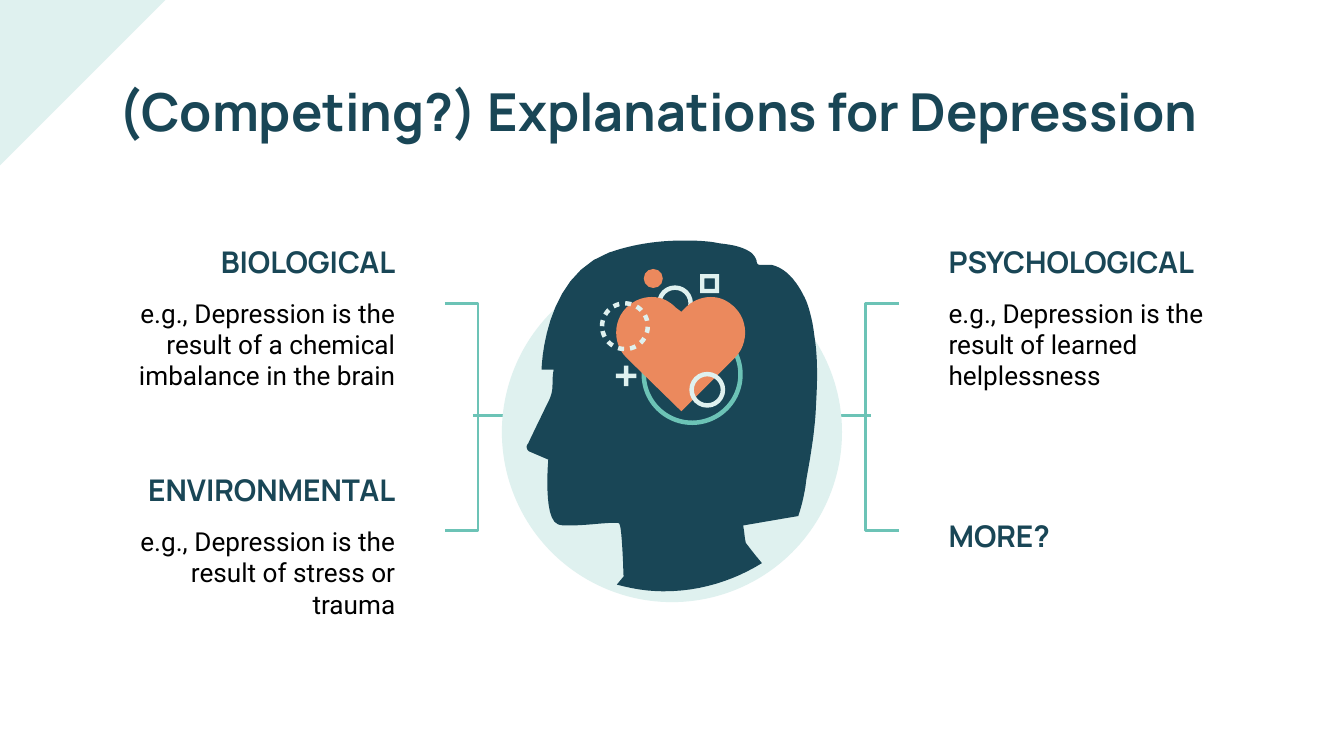
from lxml.etree import SubElement
from pptx import Presentation
from pptx.dml.color import RGBColor as RGB
from pptx.enum.shapes import MSO_CONNECTOR as LINE, MSO_SHAPE as SHAPE
from pptx.enum.text import MSO_ANCHOR as ANCHOR, PP_ALIGN as ALIGN
from pptx.oxml.ns import qn
from pptx.util import Pt

WIDTH, HEIGHT = 720, 405
THEME = {
    "navy": RGB.from_string("194656"), "mint": RGB.from_string("DFF1EF"),
    "teal": RGB.from_string("6CC3B6"), "coral": RGB.from_string("EB895D"),
    "black": RGB.from_string("000000"), "stroke": 1.5, "ring": 2.4,
    "title": {"name": "Manrope", "size": Pt(28), "bold": True},
    "heading": {"name": "Manrope", "size": Pt(16), "bold": True},
    "body": {"name": "Roboto", "size": Pt(14), "bold": False},
}
TITLE = "(Competing?) Explanations for Depression"
EXPLANATIONS = [
    ("left", 123.1, "BIOLOGICAL",
     "e.g., Depression is the result of a chemical imbalance in the brain"),
    ("left", 245.5, "ENVIRONMENTAL",
     "e.g., Depression is the result of stress or trauma"),
    ("right", 123.1, "PSYCHOLOGICAL",
     "e.g., Depression is the result of learned helplessness"),
    ("right", 270, "MORE?", None),
]
COLUMN_W, HEADING_H, BODY_H = 162.7, 28.8, 49
COLUMNS = {"left": (56.2, ALIGN.RIGHT), "right": (501.1, ALIGN.LEFT)}
BRACKET = [(238.3, 162.7), (256.1, 162.7), (256.1, 284.4), (238.3, 284.4)]
STEM = [(253.4, 222.5), (311.8, 222.5)]

GRID = 0.72
HEAD = [
    (507, 179), (489, 179, 470, 182, 453, 188), (404, 206, 403, 275, 403, 275),
    (412, 275), (410, 286, 413, 289, 408, 299), (404, 307, 393, 330, 393, 330),
    (391, 332, 392, 335, 394, 336), (408, 342), (408, 342, 404, 386, 415, 390),
    (417, 391, 420, 391, 424, 391), (435, 391, 450, 389, 457, 389),
    (459, 389, 461, 389, 461, 390), (463, 393, 464, 429, 464, 429), (459, 435),
    (470, 438, 482, 440, 494, 440), (521, 440, 546, 432, 567, 419),
    (561, 412, 555, 404, 555, 404), (554, 400, 554, 396, 553, 391),
    (576, 387, 594, 384, 594, 384), (597, 375, 599, 366, 600, 357),
    (603, 340, 606, 323, 607, 306), (608, 287, 609, 268, 606, 250),
    (605, 241, 603, 232, 600, 224), (595, 213, 587, 200, 574, 197),
    (571, 197, 568, 197, 565, 197), (563, 197, 563, 194, 563, 194),
    (562, 191, 561, 190, 559, 188), (552, 183, 543, 182, 535, 181),
    (526, 179, 516, 179, 507, 179),
]
HEART = [
    (485, 221), (478, 221, 471, 224, 466, 229), (456, 239, 456, 256, 466, 266),
    (507, 306), (547, 266), (557, 256, 557, 239, 547, 229),
    (542, 224, 536, 221, 529, 221), (522, 221, 515, 224, 510, 229), (507, 232),
    (503, 229), (498, 224, 492, 221, 485, 221),
]


def mirror(points):
    return [(WIDTH - x, y) for x, y in points]


def curve_points(steps, samples=12):
    points = [steps[0]]
    for step in steps[1:]:
        if len(step) == 2:
            points.append(step)
            continue
        x0, y0 = points[-1]
        x1, y1, x2, y2, x3, y3 = step
        for i in range(1, samples + 1):
            t = i / samples
            a, b, c, d = (1 - t) ** 3, 3 * t * (1 - t) ** 2, 3 * t * t * (1 - t), t ** 3
            points.append((a * x0 + b * x1 + c * x2 + d * x3,
                           a * y0 + b * y1 + c * y2 + d * y3))
    return [(x * GRID, y * GRID) for x, y in points]


def paint(s, fill=None, line=None, weight=THEME["stroke"]):
    s.shadow.inherit = False
    if fill:
        s.fill.solid()
        s.fill.fore_color.rgb = THEME[fill]
    else:
        s.fill.background()
    if line:
        s.line.color.rgb = THEME[line]
        s.line.width = Pt(weight)
    else:
        s.line.fill.background()
    return s


def add_outline(shapes, points, close=True, **look):
    pts = [(Pt(x), Pt(y)) for x, y in points]
    builder = shapes.build_freeform(*pts[0], scale=1.0)
    builder.add_line_segments(pts[1:], close=close)
    return paint(builder.convert_to_shape(), **look)


def add_preset(shapes, kind, cx, cy, size, adjust=None, **look):
    s = shapes.add_shape(kind, Pt(cx - size / 2), Pt(cy - size / 2), Pt(size), Pt(size))
    if adjust is not None:
        s.adjustments[0] = adjust
    return paint(s, **look)


def add_ring(shapes, cx, cy, size, color):
    return add_preset(shapes, SHAPE.OVAL, cx, cy, size, line=color, weight=THEME["ring"])


def add_text(shapes, text, x, y, w, h, style, color, align=ALIGN.LEFT, after=0):
    tf = shapes.add_textbox(Pt(x), Pt(y), Pt(w), Pt(h)).text_frame
    frame = {"word_wrap": True, "vertical_anchor": ANCHOR.TOP}
    for side in ("left", "right", "top", "bottom"):
        frame["margin_" + side] = Pt(7.2)
    for name, value in frame.items():
        setattr(tf, name, value)
    p = tf.paragraphs[0]
    p.alignment, p.space_after = align, Pt(after)
    r = p.add_run()
    r.text = text
    for name, value in THEME[style].items():
        setattr(r.font, name, value)
    r.font.color.rgb = THEME[color]


def add_stem(shapes, points):
    (x1, y1), (x2, y2) = points
    s = shapes.add_connector(LINE.STRAIGHT, Pt(x1), Pt(y1), Pt(x2), Pt(y2))
    s.line.color.rgb = THEME["teal"]
    s.line.width = Pt(THEME["stroke"])
    SubElement(s.element.spPr, qn("a:effectLst"))


def add_head(shapes):
    add_outline(shapes, curve_points(HEAD), fill="navy")
    add_ring(shapes, 361.6, 162.5, 16.8, "mint")
    add_ring(shapes, 370.8, 200.6, 51.8, "teal")
    add_outline(shapes, curve_points(HEART), fill="coral")
    add_preset(shapes, SHAPE.CROSS, 335.5, 201.4, 11, 0.39, fill="mint")
    dashed = add_ring(shapes, 334.8, 174.8, 24.5, "mint")
    dashes = SubElement(dashed.line.fill._xPr, qn("a:custDash"))
    SubElement(dashes, qn("a:ds"), d="134000", sp="134000")
    add_ring(shapes, 378.9, 208.8, 16.8, "mint")
    add_preset(shapes, SHAPE.OVAL, 350, 149.2, 10.2, fill="coral")
    add_preset(shapes, SHAPE.FRAME, 380.2, 152, 10.1, 0.22, fill="mint")


def main():
    prs = Presentation()
    prs.slide_width, prs.slide_height = Pt(WIDTH), Pt(HEIGHT)
    shapes = prs.slides.add_slide(prs.slide_layouts[6]).shapes

    corner = add_preset(shapes, SHAPE.RIGHT_TRIANGLE, 44.3, 44.3, 88.6, fill="mint")
    corner.rotation = 90
    add_text(shapes, TITLE, 56.2, 35.3, 608.4, 45.4, "title", "navy")
    for side, top, heading, body in EXPLANATIONS:
        x, align = COLUMNS[side]
        add_text(shapes, heading, x, top, COLUMN_W, HEADING_H, "heading", "navy", align, 8)
        if body:
            add_text(shapes, body, x, top + HEADING_H, COLUMN_W, BODY_H, "body", "black", align, 8)

    for bracket, stem in ((BRACKET, STEM), (mirror(BRACKET), mirror(STEM))):
        add_outline(shapes, bracket, close=False, line="teal")
        add_stem(shapes, stem)
    add_preset(shapes, SHAPE.OVAL, 360, 231.5, 182.2, fill="mint")
    add_head(shapes.add_group_shape().shapes)
    prs.save("out.pptx")


if __name__ == "__main__":
    main()
